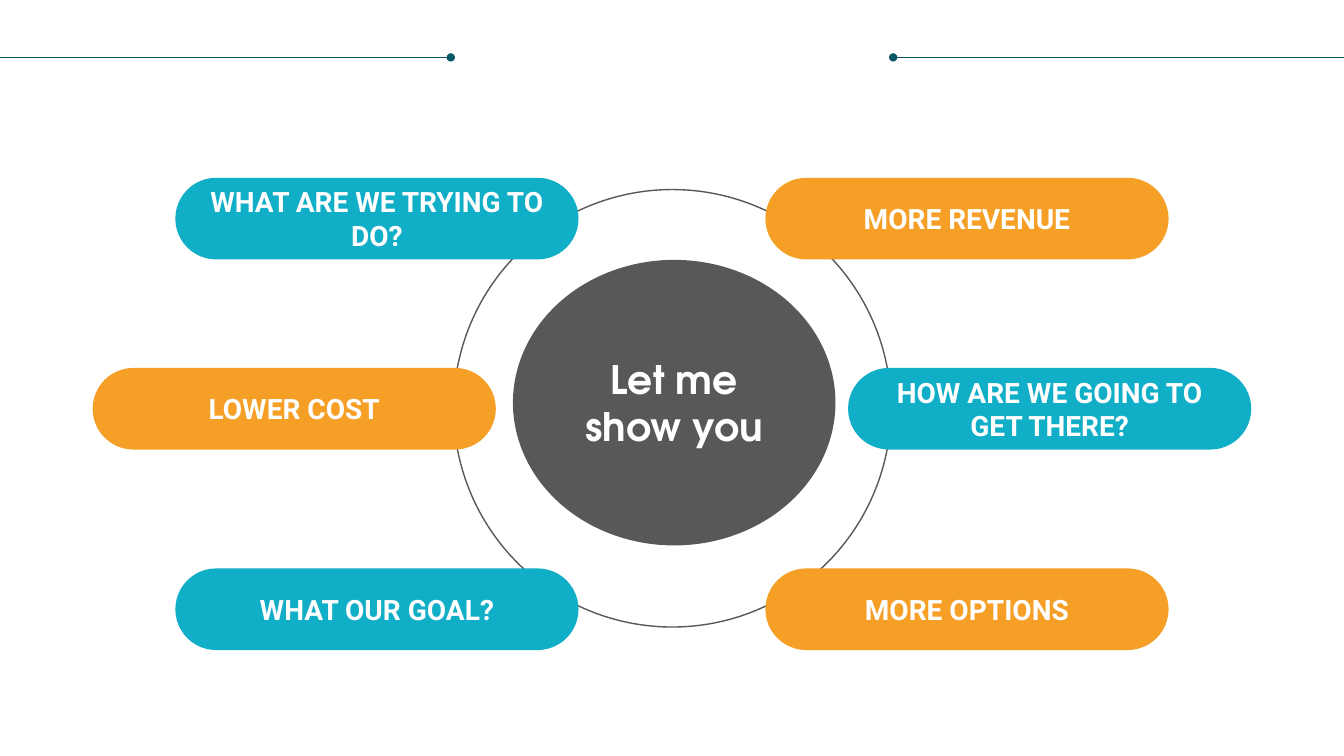
import pptx
import pptx.util
import pptx.dml.color
import pptx.enum.shapes
import pptx.enum.text
import pptx.oxml.ns
import lxml.etree

Pt = pptx.util.Pt
SHAPES = pptx.enum.shapes.MSO_SHAPE
WIDTH, HEIGHT = 960, 540
COLORS = {
    "gray": "585858",
    "orange": "F59F26",
    "teal": "11AEC7",
    "rule": "085764",
    "white": "FFFFFF",
}


class Deck:
    """Draws styled elements on the current slide, with lengths in points."""

    def __init__(self):
        self.prs = pptx.Presentation()
        self.prs.slide_width = Pt(WIDTH)
        self.prs.slide_height = Pt(HEIGHT)
        self.s = self.prs.slides.add_slide(self.prs.slide_layouts[6])

    def color(self, name):
        return pptx.dml.color.RGBColor.from_string(COLORS[name])

    def shape(self, kind, x, y, w, h, fill=None, line=None):
        sp = self.s.shapes.add_shape(kind, Pt(x), Pt(y), Pt(w), Pt(h))
        sp.shadow.inherit = False
        if fill:
            sp.fill.solid()
            sp.fill.fore_color.rgb = self.color(fill)
        else:
            sp.fill.background()
        if line:
            sp.line.color.rgb = self.color(line)
            sp.line.width = Pt(1)
        else:
            sp.line.fill.background()
        return sp

    def text(self, sp, text, font, size):
        tf = sp.text_frame
        tf.word_wrap = True
        tf.vertical_anchor = pptx.enum.text.MSO_ANCHOR.MIDDLE
        p = tf.paragraphs[0]
        p.alignment = pptx.enum.text.PP_ALIGN.CENTER
        r = p.add_run()
        r.text = text
        r.font.name = font
        r.font.size = Pt(size)
        r.font.bold = True
        r.font.color.rgb = self.color("white")

    def pill(self, x, y, text, fill):
        sp = self.shape(SHAPES.ROUNDED_RECTANGLE, x, y, PILL_W, PILL_H, fill)
        sp.adjustments[0] = 0.5
        self.text(sp, text, "Roboto", 20)

    def dotted_rule(self, x1, x2, y):
        line = self.s.shapes.add_connector(
            pptx.enum.shapes.MSO_CONNECTOR.STRAIGHT, Pt(x1), Pt(y), Pt(x2), Pt(y))
        line.line.color.rgb = self.color("rule")
        line.line.width = Pt(0.5)
        qn = pptx.oxml.ns.qn
        ln = line.line._get_or_add_ln()
        lxml.etree.SubElement(ln, qn("a:tailEnd"), type="oval")
        lxml.etree.SubElement(line._element.spPr, qn("a:effectLst"))


PILL_W, PILL_H = 288, 58.3
PILL_ROWS = [
    (127, 125.25, ("WHAT ARE WE TRYING TO DO?", "teal"), ("MORE REVENUE", "orange")),
    (262.8, 66.2, ("LOWER COST", "orange"), ("HOW ARE WE GOING TO GET THERE?", "teal")),
    (406, 125.25, ("WHAT OUR GOAL?", "teal"), ("MORE OPTIONS", "orange")),
]


def main():
    deck = Deck()
    deck.shape(SHAPES.OVAL, 324, 135.4, 312.5, 312.5, line="gray")
    deck.dotted_rule(WIDTH, 638, 41)
    deck.dotted_rule(0, 322, 41)
    hub = deck.shape(SHAPES.OVAL, 366.4, 185.6, 230.4, 204, fill="gray")
    deck.text(hub, "Let me show you", "TeX Gyre Adventor", 28)
    for y, margin, left, right in PILL_ROWS:
        deck.pill(margin, y, *left)
        deck.pill(WIDTH - margin - PILL_W, y, *right)
    deck.prs.save("out.pptx")


if __name__ == "__main__":
    main()
